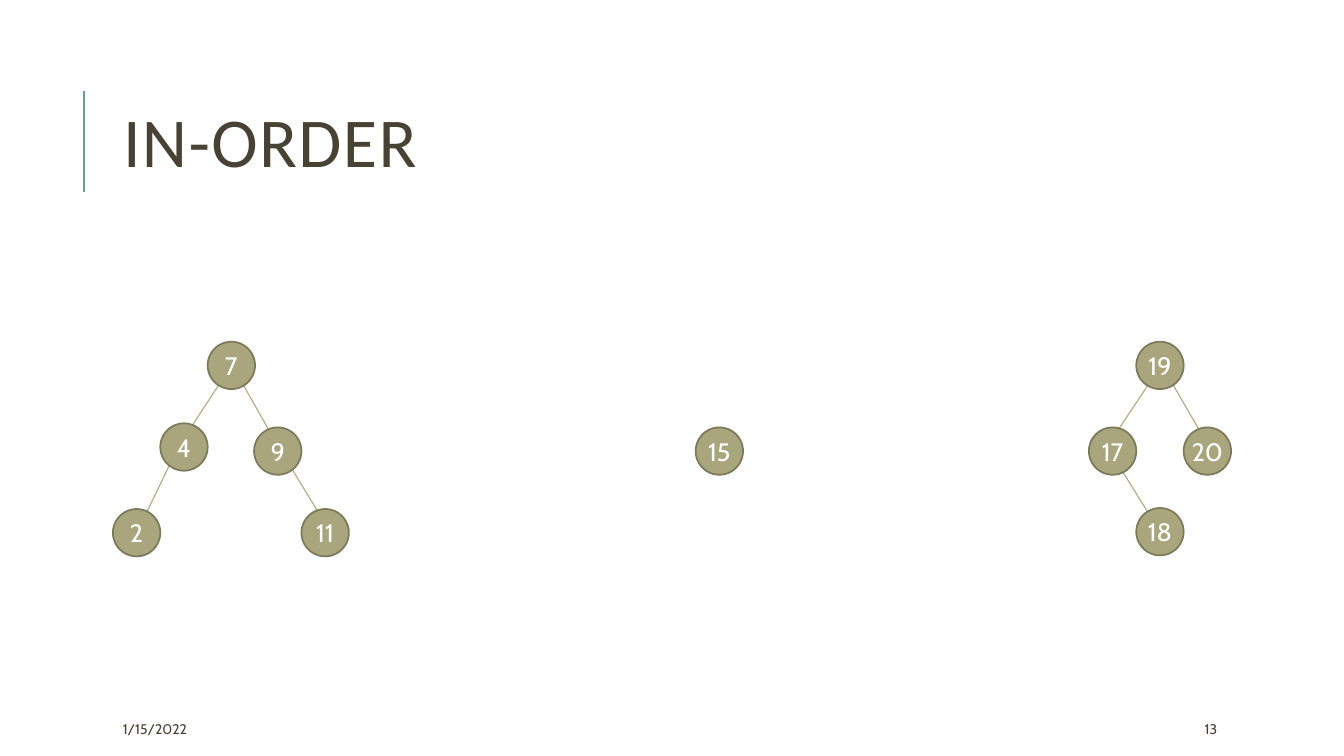
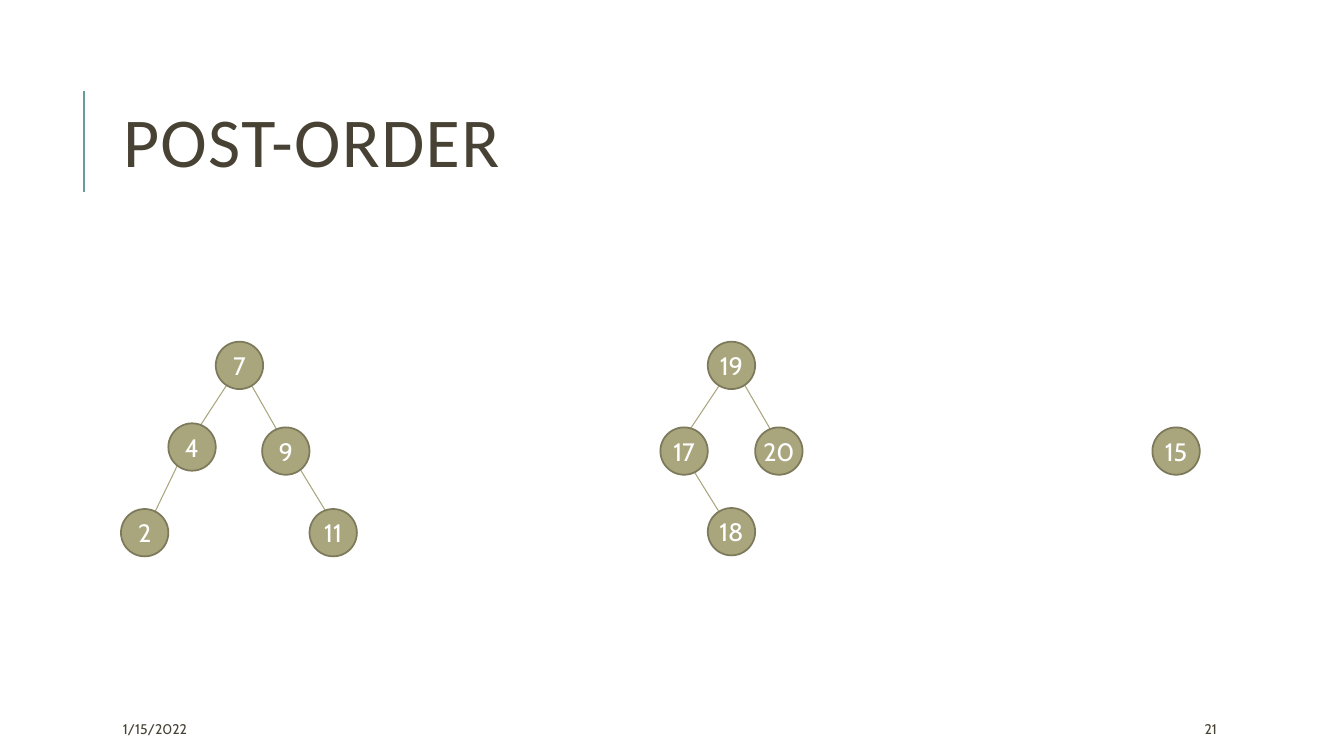
from dataclasses import dataclass

from lxml import etree
from pptx import Presentation
from pptx.dml.color import RGBColor
from pptx.enum.shapes import MSO_CONNECTOR, MSO_SHAPE
from pptx.enum.text import MSO_ANCHOR, MSO_AUTO_SIZE, PP_ALIGN
from pptx.oxml.ns import qn
from pptx.util import Inches, Pt

STRAIGHT = MSO_CONNECTOR.STRAIGHT
OVAL = MSO_SHAPE.OVAL
MIDDLE = MSO_ANCHOR.MIDDLE
NO_FIT = MSO_AUTO_SIZE.NONE
LEFT, CENTER = PP_ALIGN.LEFT, PP_ALIGN.CENTER
TITLE_ONLY = 5


@dataclass(frozen=True)
class Theme:
    """Colours, fonts and sizes shared by the slides."""
    ink: RGBColor = RGBColor.from_string("474233")
    accent: RGBColor = RGBColor.from_string("689C9A")
    node: RGBColor = RGBColor.from_string("A9A57C")
    node_edge: RGBColor = RGBColor.from_string("7D7A5C")
    node_text: RGBColor = RGBColor.from_string("FFFFFF")
    title_font: str = "Calibri"
    body_font: str = "Cabin"
    title_size: float = 50
    label_size: float = 18
    footer_size: float = 10
    accent_width: float = 1.5
    branch_width: float = 0.75
    edge_width: float = 1.25


@dataclass(frozen=True)
class Node:
    """A labelled circle: its offset in the tree, its level and its joint."""
    left: float
    top: float
    level: int
    joint: float


@dataclass(frozen=True)
class Tree:
    """Nodes by label and the branches between them."""
    nodes: dict
    branches: tuple = ()


THEME = Theme()
DIAMETER = 0.47
JOINT_HEIGHTS = (0.23, 1.04, 1.91)
TREE_TOP = 3.39
MIDDLE_ROW = 4.24
TITLE_BOX = (1.12, 0.64, 10.63, 1.64)
DATE_BOX = (1.12, 7.08, 2.36, 0.3)
NUMBER_BOX = (11.85, 7.08, 1.06, 0.3)
DATE = "1/15/2022"

LOWER_TREE = Tree(
    {
        "7": Node(0.94, 0, 0, 1.18),
        "4": Node(0.47, 0.81, 1, 0.65),
        "9": Node(1.4, 0.85, 1, 1.64),
        "2": Node(0, 1.66, 2, 0.23),
        "11": Node(1.87, 1.66, 2, 2.17),
    },
    (("7", "4"), ("7", "9"), ("4", "2"), ("9", "11")),
)
UPPER_TREE = Tree(
    {
        "19": Node(0.47, 0, 0, 0.72),
        "17": Node(0, 0.85, 1, 0.18),
        "20": Node(0.94, 0.85, 1, 1.19),
        "18": Node(0.47, 1.65, 2, 0.72),
    },
    (("19", "17"), ("19", "20"), ("17", "18")),
)
ROOT = Tree({"15": Node(0, 0, 0, 0.23)})

SLIDES = (
    ("IN-ORDER", "13", (
        (LOWER_TREE, 1.12, TREE_TOP),
        (ROOT, 6.9, MIDDLE_ROW),
        (UPPER_TREE, 10.8, TREE_TOP),
    )),
    ("POST-ORDER", "21", (
        (LOWER_TREE, 1.2, TREE_TOP),
        (UPPER_TREE, 6.55, TREE_TOP),
        (ROOT, 11.43, MIDDLE_ROW),
    )),
)


def write(frame, text, font_name, size, color, align=LEFT):
    """Put one formatted paragraph, vertically centred, in a text frame."""
    frame.word_wrap = True
    frame.auto_size = NO_FIT
    frame.vertical_anchor = MIDDLE
    paragraph = frame.paragraphs[0]
    paragraph.text = text
    paragraph.alignment = align
    paragraph.font.name = font_name
    paragraph.font.size = Pt(size)
    paragraph.font.color.rgb = color
    return paragraph


def add_line(slide, start, end, color, width):
    """Draw a straight line without a shadow."""
    line = slide.shapes.add_connector(
        STRAIGHT, *(Inches(value) for value in (*start, *end)))
    line.line.color.rgb = color
    line.line.width = Pt(width)
    etree.SubElement(line.element.spPr, qn("a:effectLst"))


def add_title(slide, text, box):
    """Place the title in its box, with the accent rule to its left."""
    left, top, width, height = box
    title = slide.shapes.title
    title.left, title.top = Inches(left), Inches(top)
    title.width, title.height = Inches(width), Inches(height)
    heading = write(title.text_frame, text, THEME.title_font,
                    THEME.title_size, THEME.ink)
    heading.line_spacing = 0.8
    title.element.find(".//" + qn("a:defRPr")).set("spc", "100")
    rule_left = left - 0.29
    add_line(slide, (rule_left, top + 1.26), (rule_left, top + 0.26),
             THEME.accent, THEME.accent_width)


def add_footer(slide, text, box):
    """Write a footer entry in its box."""
    entry = slide.shapes.add_textbox(*(Inches(value) for value in box))
    write(entry.text_frame, text, THEME.body_font, THEME.footer_size, THEME.ink)


def add_node(slide, label, left, top):
    """Draw one labelled circle."""
    circle = slide.shapes.add_shape(
        OVAL, Inches(left), Inches(top), Inches(DIAMETER), Inches(DIAMETER))
    circle.shadow.inherit = False
    circle.fill.solid()
    circle.fill.fore_color.rgb = THEME.node
    circle.line.color.rgb = THEME.node_edge
    circle.line.width = Pt(THEME.edge_width)
    frame = circle.text_frame
    frame.margin_left = frame.margin_right = 0
    frame.margin_top = frame.margin_bottom = 0
    write(frame, label, THEME.body_font, THEME.label_size,
          THEME.node_text, CENTER)


def add_tree(slide, tree, left, top):
    """Draw the branches of a tree and its nodes over them."""
    joints = {label: (left + node.joint, top + JOINT_HEIGHTS[node.level])
              for label, node in tree.nodes.items()}
    for parent, child in tree.branches:
        add_line(slide, joints[parent], joints[child],
                 THEME.node, THEME.branch_width)
    for label, node in tree.nodes.items():
        add_node(slide, label, left + node.left, top + node.top)


def add_traversal_slide(deck, title, number, trees):
    """Add a slide showing the order in which the trees are visited."""
    slide = deck.slides.add_slide(deck.slide_layouts[TITLE_ONLY])
    add_title(slide, title, TITLE_BOX)
    add_footer(slide, DATE, DATE_BOX)
    add_footer(slide, number, NUMBER_BOX)
    for tree, left, top in trees:
        add_tree(slide, tree, left, top)


def main():
    """Build and save the deck."""
    deck = Presentation()
    deck.slide_width, deck.slide_height = Inches(13.33), Inches(7.5)
    for title, number, trees in SLIDES:
        add_traversal_slide(deck, title, number, trees)
    deck.save("out.pptx")


if __name__ == "__main__":
    main()
